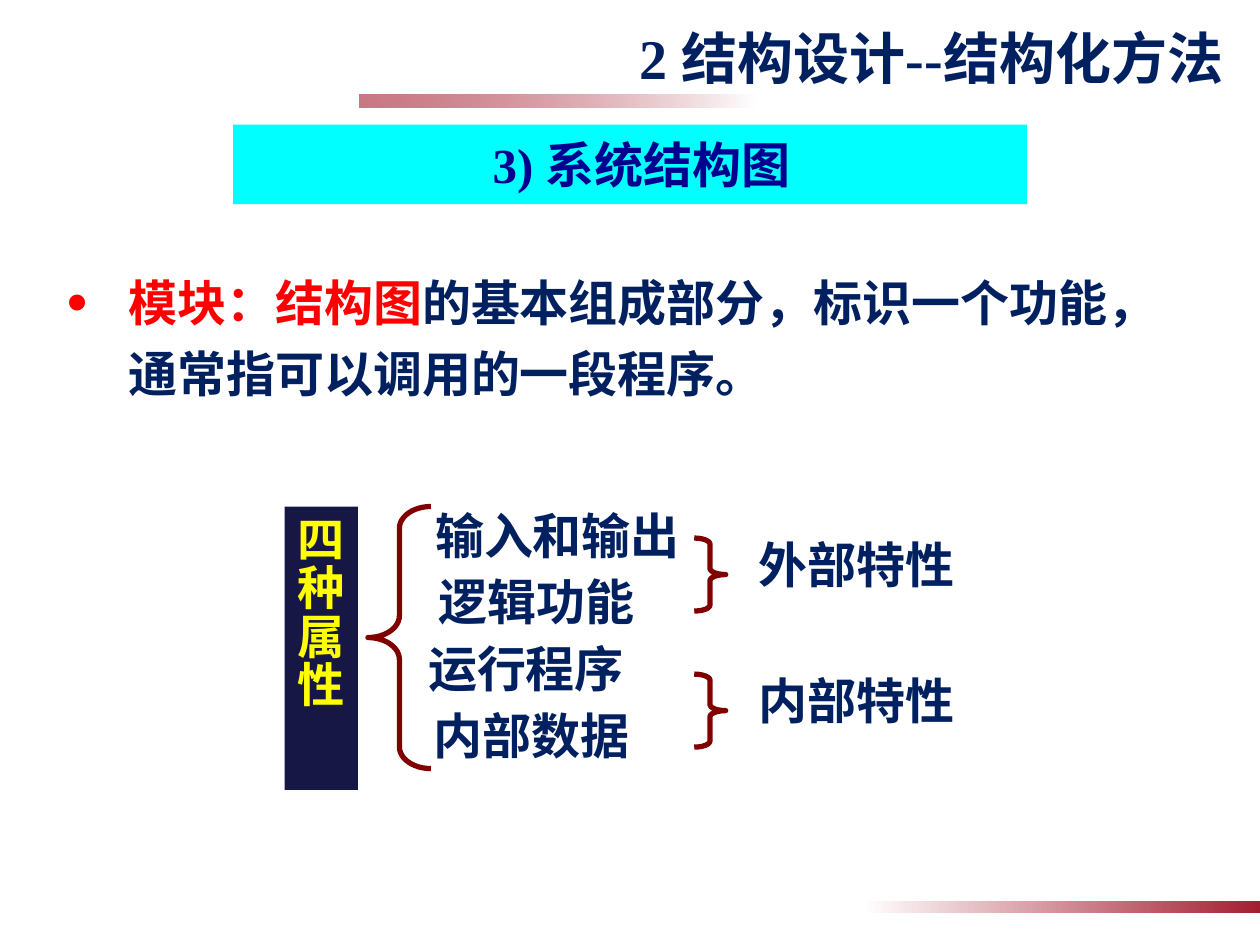
from lxml import etree
from pptx import Presentation
from pptx.dml.color import RGBColor
from pptx.enum.shapes import MSO_SHAPE
from pptx.enum.text import MSO_ANCHOR, MSO_AUTO_SIZE, PP_ALIGN
from pptx.oxml.ns import qn
from pptx.util import Inches, Pt

RECT, LEFT_BRACE, RIGHT_BRACE = (
    MSO_SHAPE.RECTANGLE, MSO_SHAPE.LEFT_BRACE, MSO_SHAPE.RIGHT_BRACE)
TOP, MIDDLE = MSO_ANCHOR.TOP, MSO_ANCHOR.MIDDLE
LEFT, CENTER, RIGHT = PP_ALIGN.LEFT, PP_ALIGN.CENTER, PP_ALIGN.RIGHT
FIXED = MSO_AUTO_SIZE.NONE

HAN, SERIF = "Noto Sans CJK SC", "Times New Roman"
NAVY, RED, MAROON, CRIMSON = "002060", "FF0000", "800000", "A41E31"

# Attribute rows of the brace diagram
ROW_TOP, ROW_STEP, ROW_HIGH = 3.96, 0.53, 0.72
TRAITS = [("输入和输出", 2.33), ("逻辑功能", 2), ("运行程序", 1.83), ("内部数据", 1.92)]
GROUPS = [("外部特性", 4.19), ("内部特性", 5.27)]


def color(code):
    return RGBColor.from_string(code)


def place(shape, left, top, width, height):
    shape.left, shape.top = Inches(left), Inches(top)
    shape.width, shape.height = Inches(width), Inches(height)


def style(run, size, code, face):
    font = run.font
    font.size, font.bold = Pt(size), True
    font.color.rgb = color(code)
    font.name = face
    etree.SubElement(run._r.rPr, qn("a:ea"), typeface=HAN)


def fit(frame, anchor=TOP):
    frame.word_wrap = True
    frame.auto_size = FIXED
    frame.vertical_anchor = anchor
    frame.margin_left = frame.margin_right = Inches(0.1)
    frame.margin_top = frame.margin_bottom = Inches(0.05)


def write(frame, text, code, face=HAN, size=28, align=CENTER, anchor=TOP):
    fit(frame, anchor)
    frame.text = text
    for para in frame.paragraphs:
        para.alignment = align
        for run in para.runs:
            style(run, size, code, face)


def add_shape(slide, kind, *spot):
    shape = slide.shapes.add_shape(kind, *map(Inches, spot))
    shape.shadow.inherit = False
    return shape


def add_block(slide, fill, *spot):
    block = add_shape(slide, RECT, *spot)
    block.fill.solid()
    block.fill.fore_color.rgb = color(fill)
    block.line.fill.background()
    return block


def add_fade(slide, left, top, turn=0, alpha=100):
    bar = add_shape(slide, RECT, left, top, 3.15, 0.1)
    bar.rotation = turn
    bar.line.fill.background()
    bar.fill.gradient()
    bar.fill.gradient_angle = 0
    for stop, code in zip(bar.fill.gradient_stops, ("FFFFFF", CRIMSON)):
        stop.color.rgb = color(code)
    end = bar._element.spPr.findall(".//" + qn("a:srgbClr"))[-1]
    etree.SubElement(end, qn("a:alpha"), val=str(alpha * 1000))


def add_brace(slide, kind, curve, *spot):
    brace = add_shape(slide, kind, *spot)
    brace.adjustments[0] = curve
    brace.fill.background()
    brace.line.color.rgb = color(MAROON)
    brace.line.width = Pt(3)


def add_label(slide, text, *spot):
    box = slide.shapes.add_textbox(*map(Inches, spot))
    write(box.text_frame, text, NAVY)


def add_bullet(body, parts):
    frame = body.text_frame
    fit(frame)
    para = frame.paragraphs[0]
    props = para._p.get_or_add_pPr()
    props.set("marL", str(Inches(0.49)))
    props.set("indent", str(-Inches(0.49)))
    para.line_spacing, para.space_before = 1.2, Pt(0)
    etree.SubElement(props, qn("a:buSzPct"), val="120000")
    etree.SubElement(props, qn("a:buChar"), char="•")
    for text, code in parts:
        run = para.add_run()
        run.text = text
        style(run, 28, code, SERIF)


def main():
    deck = Presentation()
    deck.slide_width, deck.slide_height = Inches(10), Inches(7.5)
    slide = deck.slides.add_slide(deck.slide_layouts[1])

    # Fading bars
    add_fade(slide, 2.85, 0.75, turn=180, alpha=60)
    add_fade(slide, 6.85, 7.15)

    # Title and definition
    title, body = slide.placeholders
    place(title, 0.66, 0.13, 9.15, 0.65)
    write(title.text_frame, "2 结构设计--结构化方法", NAVY, SERIF, 32, RIGHT, MIDDLE)
    place(body, 0.43, 2.02, 9.21, 1.18)
    add_bullet(body, [
        ("模块：结构图", RED),
        ("的基本组成部分，标识一个功能，通常指可以调用的一段程序。", NAVY)])

    # Section banner
    banner = add_block(slide, "00FFFF", 1.85, 0.99, 6.3, 0.63).text_frame
    write(banner, "3) 系统结构图", "000090", SERIF, anchor=MIDDLE)
    banner.margin_left = Inches(0.28)

    # Four attributes
    pillar = add_block(slide, "171745", 2.26, 4.02, 0.58, 2.25).text_frame
    write(pillar, "\n".join("四种属性"), "FFFF00", size=27)
    pillar.margin_top = Inches(0.1)
    for para in pillar.paragraphs:
        para.line_spacing = 0.85
    add_brace(slide, LEFT_BRACE, 0.347, 2.92, 4.02, 0.5, 2.08)
    for row, (text, width) in enumerate(TRAITS):
        add_label(slide, text, 3.26, ROW_TOP + row * ROW_STEP, width, ROW_HIGH)

    # Outer and inner traits
    for text, top in GROUPS:
        add_brace(slide, RIGHT_BRACE, 0.194, 5.51, top + 0.08, 0.25, 0.58)
        add_label(slide, text, 5.84, top, 1.92, ROW_HIGH)

    deck.save("out.pptx")


if __name__ == "__main__":
    main()
